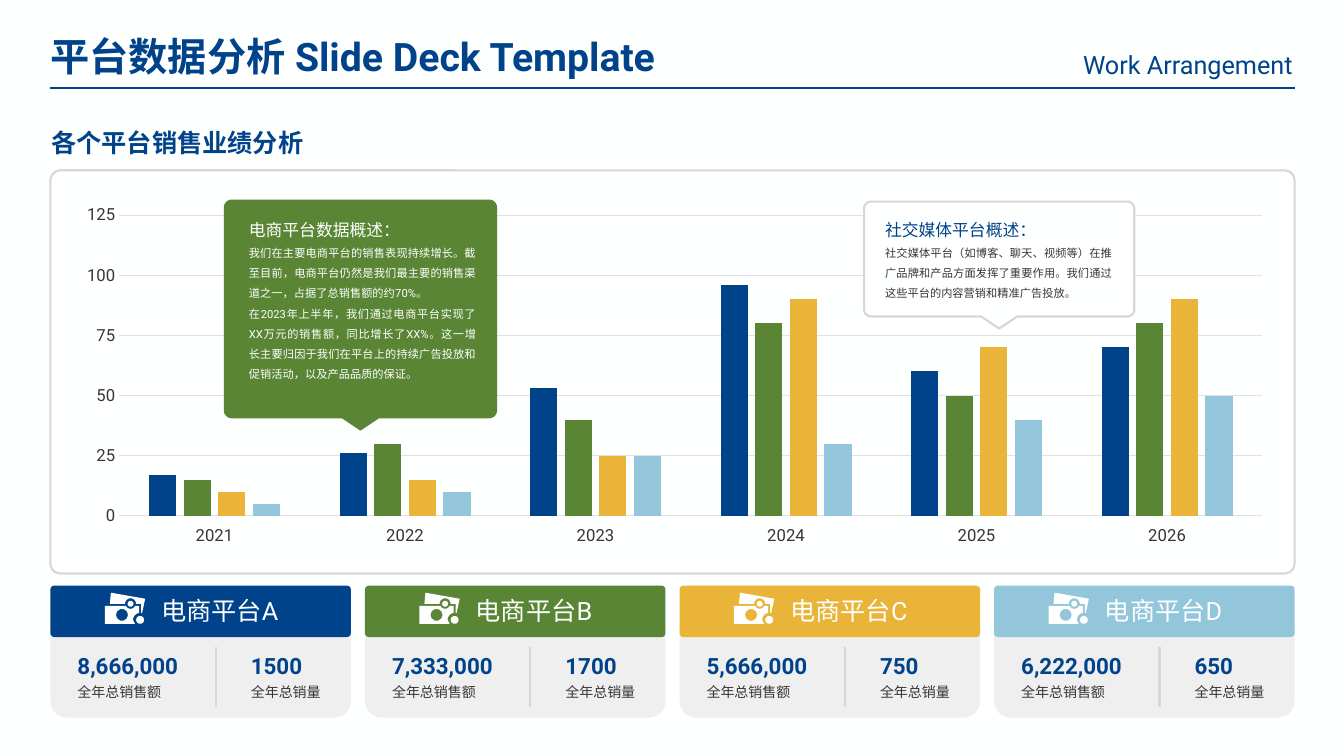
from math import cos, radians, sin

from lxml import etree
from pptx import Presentation
from pptx.chart.data import CategoryChartData
from pptx.dml.color import RGBColor
from pptx.enum.chart import XL_CHART_TYPE as ChartType
from pptx.enum.chart import XL_TICK_LABEL_POSITION as LabelPosition
from pptx.enum.chart import XL_TICK_MARK as TickMark
from pptx.enum.lang import MSO_LANGUAGE_ID as Language
from pptx.enum.shapes import MSO_CONNECTOR as Connector
from pptx.enum.shapes import MSO_SHAPE as Shape
from pptx.enum.text import MSO_ANCHOR as Anchor
from pptx.enum.text import MSO_AUTO_SIZE as AutoSize
from pptx.enum.text import PP_ALIGN as Align
from pptx.oxml import parse_xml
from pptx.oxml.ns import nsdecls, qn
from pptx.util import Inches, Pt

FONT = "Roboto"
PAPER = RGBColor(0xFE, 0xFF, 0xFF)
WHITE = RGBColor(0xFF, 0xFF, 0xFF)
NAVY = RGBColor(0x00, 0x43, 0x8B)
GREEN = RGBColor(0x59, 0x85, 0x35)
GOLD = RGBColor(0xE9, 0xB4, 0x37)
SKY = RGBColor(0x93, 0xC6, 0xDA)
INK = RGBColor(0x38, 0x35, 0x35)
BORDER = RGBColor(0xD7, 0xD7, 0xD7)
GRID = RGBColor(0xE2, 0xE0, 0xE0)
CARD_GREY = RGBColor(0xEF, 0xEF, 0xEF)

LEFT, CONTENT_WIDTH, CARD_WIDTH = 0.5, 12.34, 2.98
YEARS = ["2021", "2022", "2023", "2024", "2025", "2026"]
# name, colour, yearly values, total sales, units sold
PLATFORMS = [
    ("电商平台A", NAVY, (17, 26, 53, 96, 60, 70), "8,666,000", "1500"),
    ("电商平台B", GREEN, (15, 30, 40, 80, 50, 80), "7,333,000", "1700"),
    ("电商平台C", GOLD, (10, 15, 25, 90, 70, 90), "5,666,000", "750"),
    ("电商平台D", SKY, (5, 10, 25, 30, 40, 50), "6,222,000", "650"),
]


def write_text(frame, text, size=10, color=INK, bold=False, align=Align.LEFT,
               spacing=None, new_paragraph=False):
    """Write one formatted paragraph into a text frame."""
    paragraph = frame.add_paragraph() if new_paragraph else frame.paragraphs[0]
    paragraph.alignment = align
    paragraph.line_spacing = spacing
    run = paragraph.add_run()
    run.text = text
    font = run.font
    font.name, font.size, font.bold = FONT, Pt(size), bold
    font.language_id = Language.SIMPLIFIED_CHINESE
    font.color.rgb = color
    etree.SubElement(run._r.rPr, qn("a:ea"), typeface=FONT)


def arc(center_x, center_y, radius, start, end, steps=10):
    """Return points along an arc; angles in degrees, clockwise from the right."""
    angles = [radians(start + (end - start) * i / steps) for i in range(steps + 1)]
    return [(center_x + radius * cos(a), center_y + radius * sin(a)) for a in angles]


class SlideBuilder:
    def __init__(self, presentation):
        self.slide = presentation.slides.add_slide(presentation.slide_layouts[5])
        self.shapes = self.slide.shapes
        fill = self.slide.background.fill
        fill.solid()
        fill.fore_color.rgb = PAPER

    def title(self, text, left, top, width, height):
        title = self.shapes.title
        title.left, title.top = Inches(left), Inches(top)
        title.width, title.height = Inches(width), Inches(height)
        frame = title.text_frame
        frame.auto_size = AutoSize.NONE
        frame.vertical_anchor = Anchor.TOP
        write_text(frame, text, size=28, color=NAVY, bold=True)

    def text(self, text, left, top, width, height, **text_format):
        box = self.shapes.add_textbox(*map(Inches, (left, top, width, height)))
        frame = box.text_frame
        frame.word_wrap = True
        write_text(frame, text, **text_format)
        return frame

    def paint(self, shape, fill, line):
        shape.shadow.inherit = False
        shape.fill.solid()
        shape.fill.fore_color.rgb = fill
        if line is None:
            shape.line.fill.background()
        else:
            shape.line.color.rgb = line
            shape.line.width = Pt(1.5)

    def block(self, kind, left, top, width, height, corners, fill, line=None):
        shape = self.shapes.add_shape(kind, *map(Inches, (left, top, width, height)))
        for index, corner in enumerate(corners):
            shape.adjustments[index] = corner
        self.paint(shape, fill, line)

    def outline(self, contours, fill, line=None):
        contours = [[(Inches(x), Inches(y)) for x, y in points] for points in contours]
        builder = self.shapes.build_freeform(*contours[0][0])
        for index, points in enumerate(contours):
            if index:
                builder.move_to(*points[0])
            builder.add_line_segments(points[1:], close=True)
        self.paint(builder.convert_to_shape(), fill, line)

    def line(self, x1, y1, x2, y2, color):
        line = self.shapes.add_connector(Connector.STRAIGHT, *map(Inches, (x1, y1, x2, y2)))
        line.line.color.rgb = color
        line.line.width = Pt(1.5)
        etree.SubElement(line._element.spPr, qn("a:effectLst"))

    def callout(self, left, top, width, height, fill, line):
        """Draw a rounded box with a pointer under its middle."""
        radius, right, bottom, middle = 0.07, left + width, top + height, left + width / 2
        points = arc(left + radius, top + radius, radius, 180, 270)
        points += arc(right - radius, top + radius, radius, 270, 360)
        points += arc(right - radius, bottom - radius, radius, 0, 90)
        points += [(middle + 0.18, bottom), (middle, bottom + 0.12), (middle - 0.18, bottom)]
        points += arc(left + radius, bottom - radius, radius, 90, 180)
        self.outline([points], fill, line)

    def money_icon(self, left, top):
        back_note = [(0.06, 0), (0.05, 0.11), *arc(0.255, 0.11, 0.055, 180, 360),
                     (0.36, 0.11), (0.36, 0.2), (0.37, 0.2), (0.4, 0.06)]
        front_note = [(0, 0.13), (0, 0.31), (0.3, 0.31), *arc(0.35, 0.27, 0.07, 180, 245),
                      (0.34, 0.2), (0.34, 0.13), *arc(0.255, 0.11, 0.05, 25, 155)]
        contours = [back_note, arc(0.255, 0.11, 0.03, 0, 360), front_note,
                    arc(0.17, 0.22, 0.06, 0, 360), arc(0.35, 0.27, 0.04, 360, 0)]
        self.outline([[(left + x, top + y) for x, y in points] for points in contours], WHITE)

    def column_chart(self, left, top, width, height):
        data = CategoryChartData()
        data.categories = YEARS
        for number, platform in enumerate(PLATFORMS, 1):
            data.add_series(f"Series {number}", platform[2])
        chart = self.shapes.add_chart(ChartType.COLUMN_CLUSTERED,
                                      *map(Inches, (left, top, width, height)), data).chart
        chart.has_legend = chart.has_title = False
        chart.font.name, chart.font.size = FONT, Pt(10)
        chart.font.color.rgb = INK
        plot = chart.plots[0]
        plot.gap_width, plot.overlap, plot.vary_by_categories = 219, -27, False
        for series, platform in zip(plot.series, PLATFORMS):
            series.format.fill.solid()
            series.format.fill.fore_color.rgb = platform[1]
        for axis in (chart.category_axis, chart.value_axis):
            axis.major_tick_mark = axis.minor_tick_mark = TickMark.NONE
            font = axis.tick_labels.font
            font.name, font.size = FONT, Pt(11.9)
            font.color.rgb = INK
        value_axis, category_axis = chart.value_axis, chart.category_axis
        value_axis.minimum_scale, value_axis.maximum_scale, value_axis.major_unit = 0, 125, 25
        value_axis.format.line.fill.background()
        category_axis.tick_label_position = LabelPosition.LOW
        for line in (value_axis.major_gridlines.format.line, category_axis.format.line):
            line.color.rgb = GRID
            line.width = Pt(0.75)
        # Fixed inner plot area
        plot_area = chart._chartSpace.chart.plotArea
        for old_layout in plot_area.findall(qn("c:layout")):
            plot_area.remove(old_layout)
        settings = {"layoutTarget": "inner", "xMode": "edge", "yMode": "edge",
                    "x": 0.035, "y": 0.055, "w": 0.96, "h": 0.848}
        values = "".join(f'<c:{key} val="{value}"/>' for key, value in settings.items())
        plot_area.insert(0, parse_xml(f'<c:layout {nsdecls("c")}><c:manualLayout>{values}'
                                      '</c:manualLayout></c:layout>'))

    def card(self, left, name, color, sales, units):
        self.block(Shape.ROUND_2_SAME_RECTANGLE, left, 6.2, CARD_WIDTH, 0.92, (0, 0.18), CARD_GREY)
        self.block(Shape.ROUNDED_RECTANGLE, left, 5.81, CARD_WIDTH, 0.51, (0.074,), color)
        self.line(left + 1.64, 6.42, left + 1.64, 7.01, BORDER)
        self.money_icon(left + 0.54, 5.88)
        self.text(name, left + 1, 5.86, 1.43, 0.4, size=18, color=PAPER)
        for offset, width, figure, label in ((0.17, 1.48, sales, "全年总销售额"),
                                             (1.89, 1.1, units, "全年总销量")):
            self.text(figure, left + offset, 6.42, width, 0.37, size=16, color=NAVY, bold=True)
            self.text(label, left + offset, 6.73, width, 0.27)


def main():
    presentation = Presentation()
    presentation.slide_width, presentation.slide_height = Inches(13.33), Inches(7.5)
    builder = SlideBuilder(presentation)

    # Heading
    builder.title("平台数据分析 Slide Deck Template", 0.4, 0.27, 6.74, 0.57)
    builder.text("Work Arrangement", 10.39, 0.44, 2.53, 0.4, size=18, color=NAVY, align=Align.RIGHT)
    builder.line(LEFT, 0.87, LEFT + CONTENT_WIDTH, 0.87, NAVY)
    builder.text("各个平台销售业绩分析", 0.41, 1.21, 2.84, 0.4, size=18, color=NAVY, bold=True)

    # Chart panel
    builder.block(Shape.ROUNDED_RECTANGLE, LEFT, 1.69, CONTENT_WIDTH, 4, (0.024,), PAPER, BORDER)
    builder.column_chart(0.77, 1.94, 11.81, 3.52)

    # Callouts
    body = {"size": 8, "align": Align.JUSTIFY, "spacing": 1.5, "new_paragraph": True}
    heading = {"size": 12, "align": Align.JUSTIFY, "spacing": 1.5}
    builder.callout(2.23, 1.99, 2.69, 2.15, GREEN, GREEN)
    frame = builder.text("电商平台数据概述：", 2.37, 2.03, 2.45, 1.79, color=PAPER, **heading)
    for sentence in (
        "我们在主要电商平台的销售表现持续增长。截至目前，电商平台仍然是我们最主要的销售渠道之一，占据了总销售额的约70%。",
        "在2023年上半年，我们通过电商平台实现了XX万元的销售额，同比增长了XX%。这一增长主要归因于我们在平台上的持续广告投放和促销活动，以及产品品质的保证。",
    ):
        write_text(frame, sentence, color=PAPER, **body)
    builder.callout(8.57, 2, 2.68, 1.14, PAPER, BORDER)
    frame = builder.text("社交媒体平台概述：", 8.68, 2.03, 2.45, 0.99, color=NAVY, **heading)
    write_text(frame, "社交媒体平台（如博客、聊天、视频等）在推广品牌和产品方面发挥了重要作用。我们通过这些平台的内容营销和精准广告投放。", **body)

    # Platform cards
    pitch = (CONTENT_WIDTH - CARD_WIDTH) / (len(PLATFORMS) - 1)
    for index, (name, color, _, sales, units) in enumerate(PLATFORMS):
        builder.card(LEFT + index * pitch, name, color, sales, units)

    presentation.save("out.pptx")


if __name__ == "__main__":
    main()
